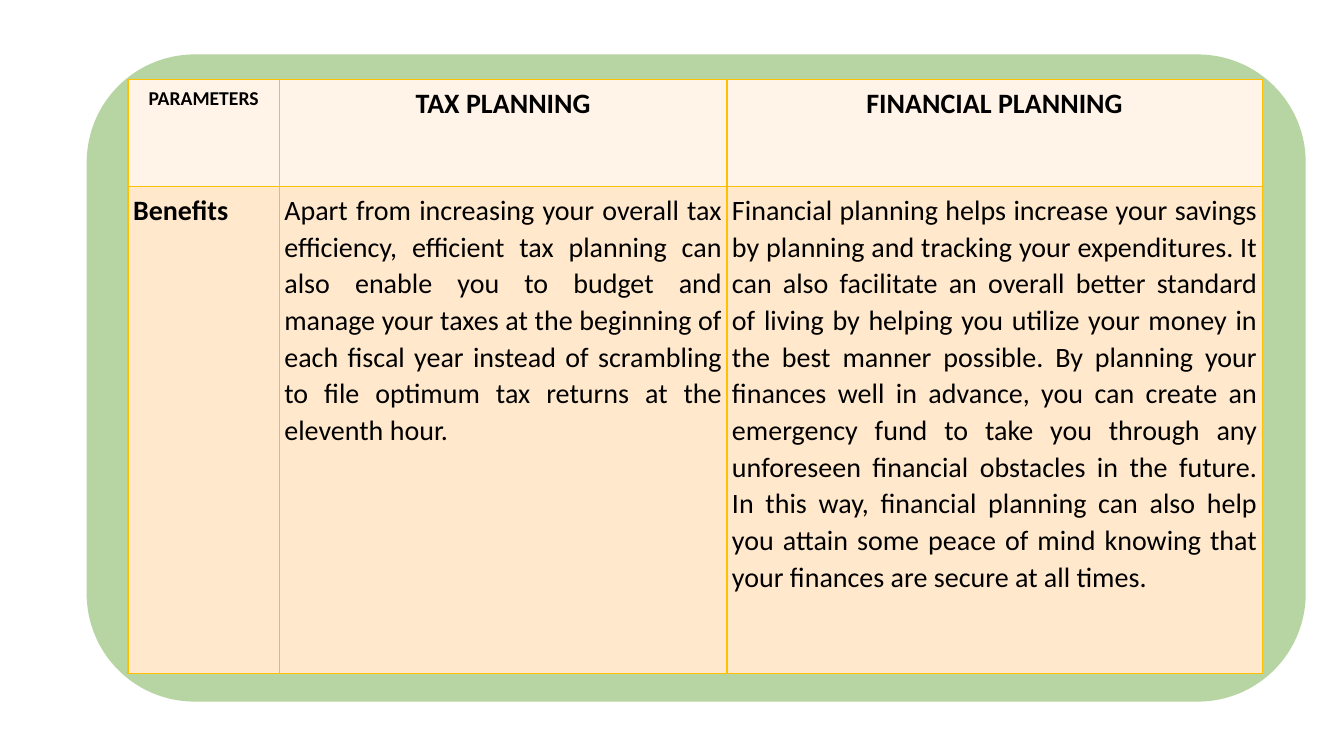
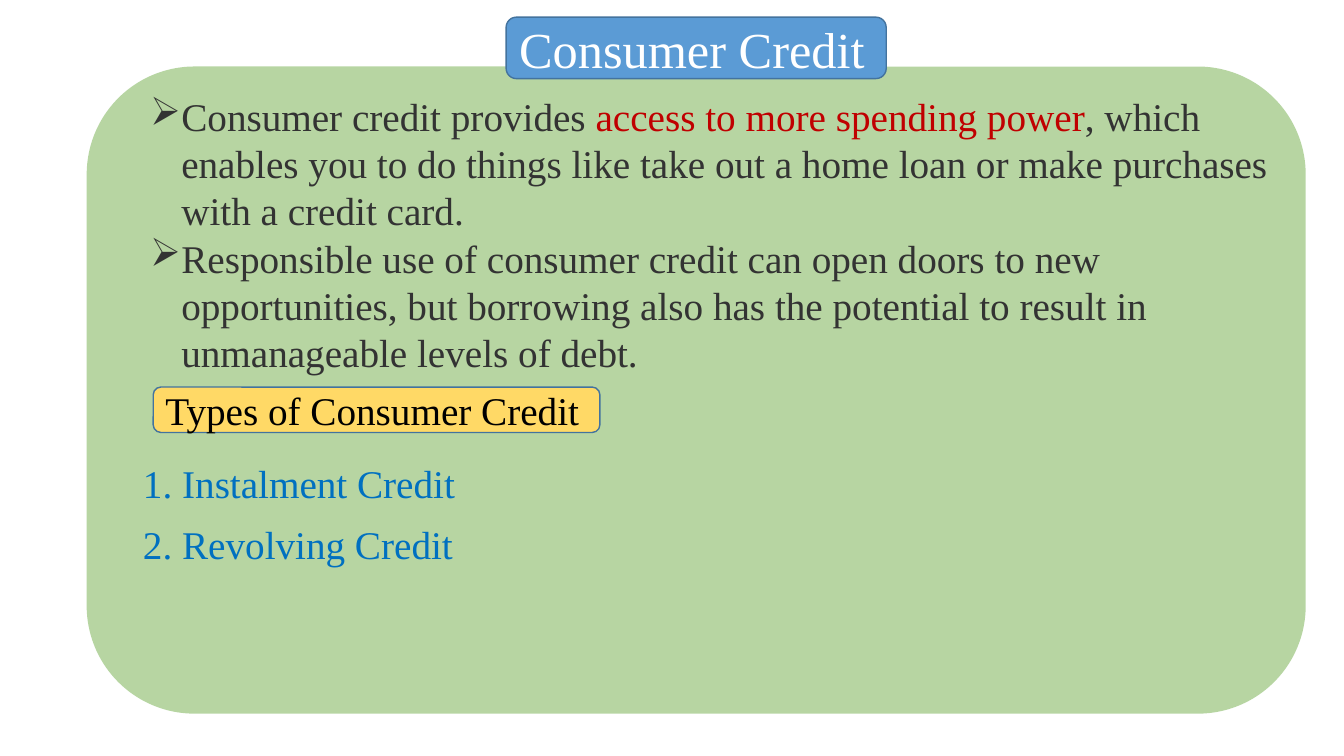
from dataclasses import dataclass

from lxml import etree
from pptx import Presentation
from pptx.dml.color import RGBColor
from pptx.enum.shapes import MSO_SHAPE
from pptx.enum.text import MSO_ANCHOR, MSO_AUTO_SIZE, PP_ALIGN
from pptx.oxml.ns import qn
from pptx.util import Inches, Pt

ROUNDED = MSO_SHAPE.ROUNDED_RECTANGLE
MIDDLE = MSO_ANCHOR.MIDDLE
GROW = MSO_AUTO_SIZE.SHAPE_TO_FIT_TEXT
CENTER, JUSTIFY = PP_ALIGN.CENTER, PP_ALIGN.JUSTIFY


@dataclass(frozen=True)
class Theme:
    serif: str = "Times New Roman"
    sans: str = "Calibri"
    title_size: int = 36
    body_size: int = 28
    table_size: int = 20
    corner_size: int = 14
    panel: str = "70AD47"
    panel_opacity: int = 50
    title_fill: str = "5B9BD5"
    label_fill: str = "FFD966"
    outline: str = "43739E"
    border: str = "FFC000"
    header_fill: str = "FFF4E7"
    row_fill: str = "FFE8CC"
    white: str = "FFFFFF"
    black: str = "000000"
    body: str = "333333"
    emphasis: str = "C00000"
    listing: str = "0070C0"


THEME = Theme()
SPACED = {"line_spacing": 1.07, "space_after": Pt(8)}


def apply(target, values):
    for name, value in values.items():
        setattr(target, name, value)


def add_run(paragraph, text, font, size, color, bold=False):
    run = paragraph.add_run()
    run.text = text
    apply(run.font, {"name": font, "size": Pt(size), "bold": bold})
    run.font.color.rgb = RGBColor.from_string(color)


def add_bullet(paragraph, char, indent):
    properties = paragraph._p.get_or_add_pPr()
    properties.set("marL", str(Inches(indent)))
    properties.set("indent", str(-Inches(indent)))
    etree.SubElement(properties, qn("a:buChar")).set("char", char)


def add_borders(cell, color, points):
    properties = cell._tc.get_or_add_tcPr()
    for side in ("lnL", "lnR", "lnT", "lnB"):
        line = etree.SubElement(properties, qn(f"a:{side}"), w=str(Pt(points)))
        fill = etree.SubElement(line, qn("a:solidFill"))
        etree.SubElement(fill, qn("a:srgbClr"), val=color)


class Deck:
    """Holds the theme, the presentation and the slide being built."""

    def __init__(self, theme):
        self.theme = theme
        self.presentation = Presentation()
        apply(self.presentation,
              {"slide_width": Inches(13.33), "slide_height": Inches(7.5)})
        self.slide = None

    def new_slide(self, panel_top):
        blank = self.presentation.slide_layouts[6]
        self.slide = self.presentation.slides.add_slide(blank)
        self.panel(panel_top)

    def rounded(self, box, fill):
        shape = self.slide.shapes.add_shape(ROUNDED, *map(Inches, box))
        shape.shadow.inherit = False
        shape.fill.solid()
        shape.fill.fore_color.rgb = RGBColor.from_string(fill)
        return shape

    def panel(self, top):
        panel = self.rounded((0.86, top, 12.09, 6.42), self.theme.panel)
        panel.line.fill.background()
        color = panel.fill._xPr.find(f".//{qn('a:srgbClr')}")
        opacity = str(self.theme.panel_opacity * 1000)
        etree.SubElement(color, qn("a:alpha"), val=opacity)

    def label(self, box, text, fill, size, color):
        label = self.rounded(box, fill)
        label.line.color.rgb = RGBColor.from_string(self.theme.outline)
        label.line.width = Pt(1)
        apply(label.text_frame, {"word_wrap": True, "vertical_anchor": MIDDLE})
        paragraph = label.text_frame.paragraphs[0]
        paragraph.alignment = PP_ALIGN.LEFT
        add_run(paragraph, text, self.theme.serif, size, color)

    def text(self, box, paragraphs, wrap=True, bullet=None, layout=None):
        """Each paragraph is a list of (text, colour) pieces."""
        frame = self.slide.shapes.add_textbox(*map(Inches, box)).text_frame
        apply(frame, {"word_wrap": wrap, "auto_size": GROW})
        for index, pieces in enumerate(paragraphs):
            paragraph = frame.add_paragraph() if index else frame.paragraphs[0]
            if bullet:
                add_bullet(paragraph, bullet, 0.31)
            apply(paragraph, layout or {})
            for piece, color in pieces:
                add_run(paragraph, piece, self.theme.serif,
                        self.theme.body_size, color)

    def table(self, left, top, widths, heights, rows):
        box = (left, top, sum(widths), sum(heights))
        table = self.slide.shapes.add_table(
            len(rows), len(widths), *map(Inches, box)).table
        apply(table, {"first_row": False, "horz_banding": False})
        for column, width in zip(table.columns, widths):
            column.width = Inches(width)
        for row, height in zip(table.rows, heights):
            row.height = Inches(height)
        for r, texts in enumerate(rows):
            for c, text in enumerate(texts):
                self.cell(table.cell(r, c), text, r == 0, c == 0)

    def cell(self, cell, text, header, first):
        theme = self.theme
        sides = ("left", "right", "top", "bottom")
        apply(cell, {f"margin_{side}": Inches(0.05) for side in sides})
        add_borders(cell, theme.border, 1)
        cell.fill.solid()
        fill = theme.header_fill if header else theme.row_fill
        cell.fill.fore_color.rgb = RGBColor.from_string(fill)
        paragraph = cell.text_frame.paragraphs[0]
        apply(paragraph, {"alignment": CENTER if header else JUSTIFY, **SPACED})
        size = theme.corner_size if header and first else theme.table_size
        add_run(paragraph, text, theme.sans, size, theme.black, header or first)


def planning_slide(deck):
    deck.new_slide(0.54)
    deck.table(1.27, 0.79, (1.5, 4.44, 5.31), (1.06, 4.83), [
        ("PARAMETERS", "TAX PLANNING", "FINANCIAL PLANNING"),
        ("Benefits",
         "Apart from increasing your overall tax efficiency, efficient tax "
         "planning can also enable you to budget and manage your taxes at the "
         "beginning of each fiscal year instead of scrambling to file optimum "
         "tax returns at the eleventh hour.",
         "Financial planning helps increase your savings by planning and "
         "tracking your expenditures. It can also facilitate an overall better "
         "standard of living by helping you utilize your money in the best "
         "manner possible. By planning your finances well in advance, you can "
         "create an emergency fund to take you through any unforeseen financial "
         "obstacles in the future. In this way, financial planning can also "
         "help you attain some peace of mind knowing that your finances are "
         "secure at all times."),
    ])


def credit_slide(deck):
    theme = deck.theme
    deck.new_slide(0.66)
    deck.label((5.02, 0.17, 3.77, 0.61), "Consumer Credit",
               theme.title_fill, theme.title_size, theme.white)
    deck.label((1.52, 3.84, 4.43, 0.45), "Types of Consumer Credit",
               theme.label_fill, theme.body_size, theme.black)
    deck.text((1.39, 0.87, 11.42, 2.93), [
        [("Consumer credit provides ", theme.body),
         ("access to more spending power", theme.emphasis),
         (", which enables you to do things like take out a home loan or make "
          "purchases with a credit card.", theme.body)],
        [("Responsible use of consumer credit can open doors to new "
          "opportunities, but borrowing also has the potential to result in "
          "unmanageable levels of debt.", theme.body)],
    ], bullet="➢")
    credit_types = ("1. Instalment Credit", "2. Revolving Credit")
    deck.text((1.32, 4.47, 3.43, 1.22),
              [[(name, theme.listing)] for name in credit_types],
              wrap=False, layout={"alignment": JUSTIFY, **SPACED})


def main():
    deck = Deck(THEME)
    planning_slide(deck)
    credit_slide(deck)
    deck.presentation.save("out.pptx")


if __name__ == "__main__":
    main()
